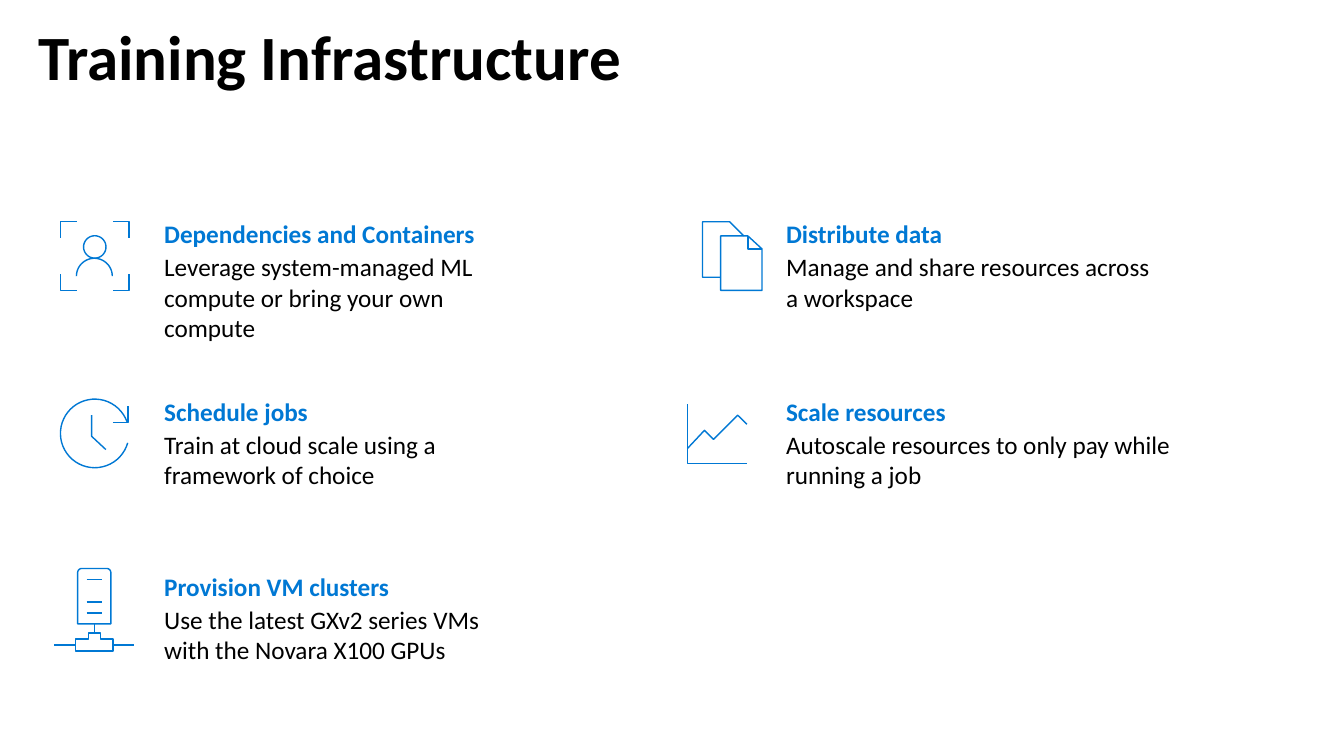
from itertools import product
from math import cos, radians, sin

from pptx import Presentation
from pptx.dml.color import RGBColor
from pptx.enum.text import MSO_ANCHOR, MSO_AUTO_SIZE, PP_ALIGN
from pptx.util import Pt

BLACK = RGBColor(0x00, 0x00, 0x00)
BLUE = RGBColor(0x00, 0x78, 0xD4)
FONT = "Calibri"
TITLE_ONLY = 5

# Heading, body, left, top, width and height of each topic
TOPICS = [
    ("Dependencies and Containers",
     "Leverage system-managed ML compute or bring your own compute", 110.2, 152.6, 283, 103),
    ("Schedule jobs",
     "Train at cloud scale using a framework of choice", 110.2, 279.4, 277.2, 82),
    ("Provision VM clusters",
     "Use the latest GXv2 series VMs with the Novara X100 GPUs", 110.2, 404.6, 249.1, 82),
    ("Distribute data",
     "Manage and share resources across \na workspace", 554.4, 152.6, 305.3, 82),
    ("Scale resources",
     "Autoscale resources to only pay while running a job", 554.4, 279.4, 297.4, 82),
]


def write(paragraph, text, *, size=18, color=BLACK, bold=False, before=0, spacing=None):
    paragraph.text = text
    paragraph.alignment = PP_ALIGN.LEFT
    paragraph.space_before = Pt(before)
    if spacing:
        paragraph.line_spacing = spacing
    for run in paragraph.runs:
        run.font.name = FONT
        run.font.size = Pt(size)
        run.font.bold = bold
        run.font.color.rgb = color


def set_title(slide, text):
    title = slide.shapes.title
    title.left, title.top, title.width, title.height = Pt(27.4), Pt(5.8), Pt(892.8), Pt(71.3)
    frame = title.text_frame
    frame.margin_left = frame.margin_right = frame.margin_bottom = 0
    frame.margin_top = Pt(13)
    frame.vertical_anchor = MSO_ANCHOR.TOP
    frame.auto_size = MSO_AUTO_SIZE.NONE
    write(frame.paragraphs[0], text, size=45, bold=True, spacing=0.9)


def add_topic(slide, heading, body, left, top, width, height):
    box = slide.shapes.add_textbox(Pt(left), Pt(top), Pt(width), Pt(height))
    frame = box.text_frame
    frame.word_wrap = True
    write(frame.paragraphs[0], heading, color=BLUE, bold=True)
    write(frame.add_paragraph(), body, before=2)


def arc(x, y, radius, start, end, steps=48):
    """Points along an arc, with angles in degrees clockwise from the right."""
    angles = [radians(start + (end - start) * i / steps) for i in range(steps + 1)]
    return [(x + radius * cos(a), y + radius * sin(a)) for a in angles]


def add_icon(slide, left, top, strokes):
    """Draw strokes, given in points from the icon's corner, as one outline."""
    placed = [[(Pt(left + x), Pt(top + y)) for x, y in stroke] for stroke in strokes]
    builder = slide.shapes.build_freeform(*placed[0][0], scale=1.0)
    for index, stroke in enumerate(placed):
        if index:
            builder.move_to(*stroke[0])
        builder.add_line_segments(stroke[1:], close=False)
    icon = builder.convert_to_shape()
    icon.shadow.inherit = False
    icon.fill.background()
    icon.line.color.rgb = BLUE
    icon.line.width = Pt(1)


def focus_strokes(size=49, arm=11.5):
    corners = [[(x, abs(y - arm)), (x, y), (abs(x - arm), y)]
               for x, y in product((0, size), repeat=2)]
    head = arc(24.5, 18, 8, 0, 360)
    shoulders = arc(24.2, 38.9, 12.8, 180, 360)
    return corners + [head, shoulders]


def clock_strokes():
    face = arc(24.5, 24.5, 24.5, 16, 340)
    arrow = [(37.4, 16.6), (48.2, 16.6), (48.2, 5)]
    hands = [(32.4, 36), (22.3, 26.6), (22.3, 11.5)]
    return [face, arrow, hands]


def server_strokes():
    tower = [(40.3, 39.6), *arc(37.4, 2.9, 2.9, 0, -90, 8),
             *arc(19.5, 2.9, 2.9, -90, -180, 8), (16.6, 39.6), (40.3, 39.6)]
    slots = [[(23, y), (33.8, y)] for y in (7.9, 23.8, 31.7)]
    stem = [(28.8, 39.6), (28.8, 46.1)]
    hub = [(15.1, 59), (15.1, 50.4), (24.5, 50.4), (24.5, 46.1), (33.1, 46.1),
           (33.1, 50.4), (41.8, 50.4), (41.8, 59), (15.1, 59)]
    cables = [[(0, 54.7), (15.1, 54.7)], [(41.8, 54.7), (56.9, 54.7)]]
    return [tower, *slots, stem, hub, *cables]


def document_strokes():
    fold = [(42.5, 19.4), (32.4, 19.4), (32.4, 10.1)]
    front = [(42.5, 19.4), (32.4, 10.1), (13, 10.1), (13, 49), (42.5, 49), (42.5, 19.4)]
    back = [(29.5, 10.1), (19.4, 0), (0, 0), (0, 39.6), (13, 39.6)]
    return [fold, front, back]


def trend_strokes():
    axes = [(42.5, 42.5), (0, 42.5), (0, 0)]
    trend = [(42.5, 14.4), (36, 7.9), (18.7, 25.2), (12.2, 18.7), (0, 31.7)]
    return [axes, trend]


def main():
    presentation = Presentation()
    presentation.slide_width, presentation.slide_height = Pt(960), Pt(540)
    slide = presentation.slides.add_slide(presentation.slide_layouts[TITLE_ONLY])
    set_title(slide, "Training Infrastructure")
    add_icon(slide, 43.2, 158.4, focus_strokes())
    add_icon(slide, 43.2, 285.1, clock_strokes())
    add_icon(slide, 38.9, 406.1, server_strokes())
    add_icon(slide, 501.8, 158.4, document_strokes())
    add_icon(slide, 491, 288.7, trend_strokes())
    for topic in TOPICS:
        add_topic(slide, *topic)
    presentation.save("out.pptx")


if __name__ == "__main__":
    main()
